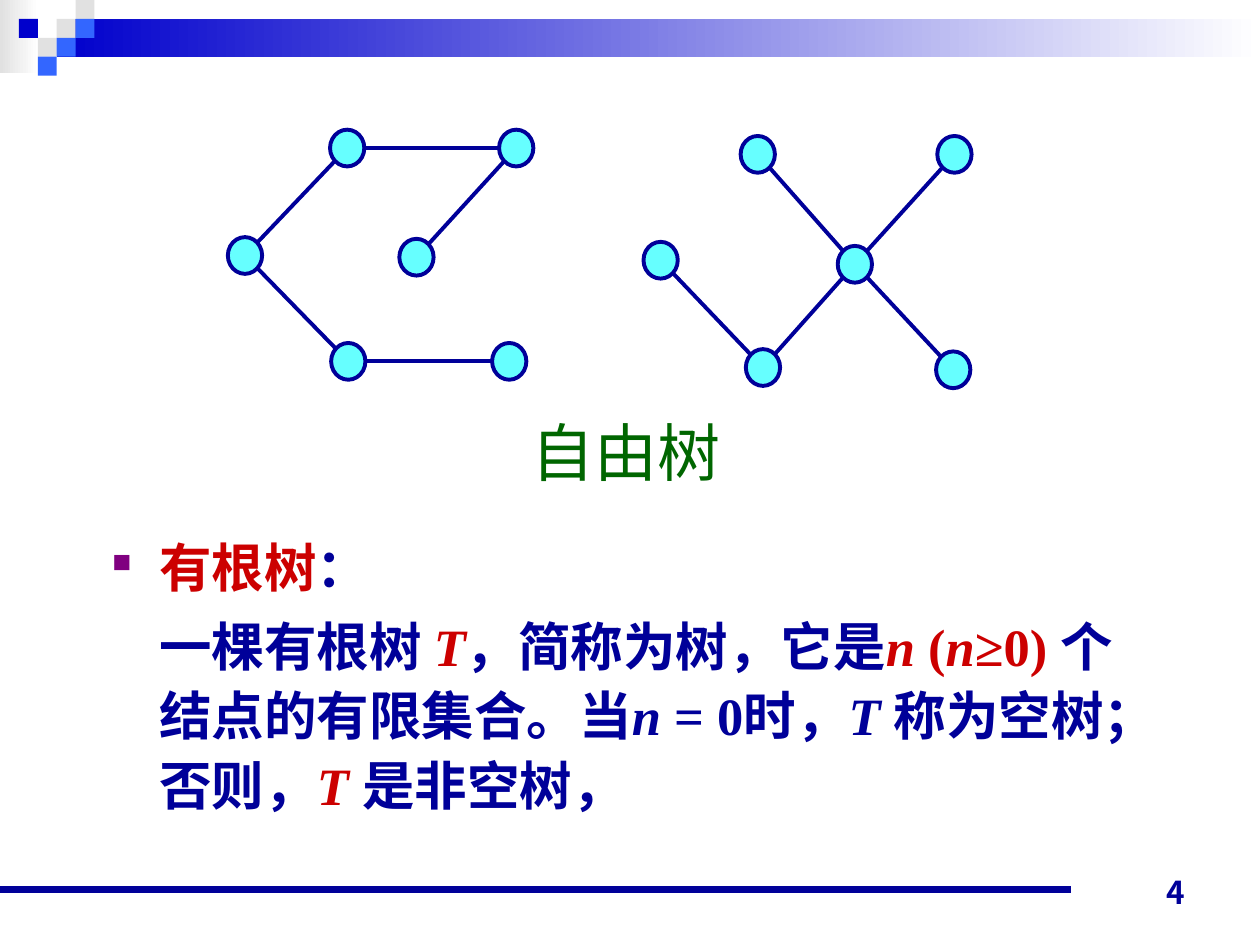
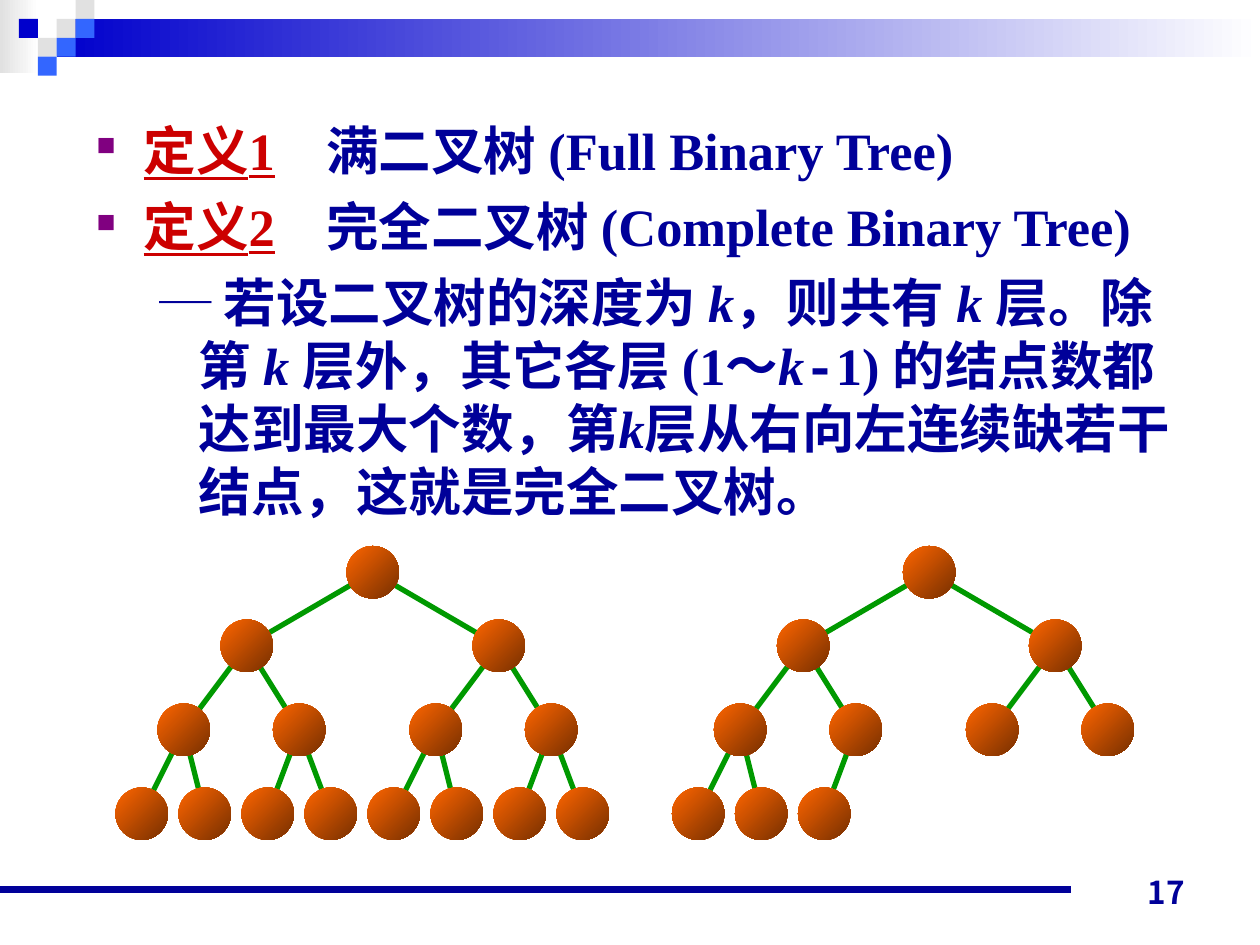
"""Build two lecture slides on free trees, rooted trees and complete binary trees."""
from itertools import pairwise
from math import hypot

from lxml.etree import SubElement
from pptx import Presentation
from pptx.dml.color import RGBColor
from pptx.enum.shapes import MSO_CONNECTOR, MSO_SHAPE
from pptx.enum.text import MSO_ANCHOR, PP_ALIGN
from pptx.oxml.ns import qn
from pptx.util import Pt

NAVY, BLUE, SKY, GREY, WHITE = "000099", "0000CC", "3366FF", "E1E1E1", "FFFFFF"
RED, DARK_GREEN, GREEN, CYAN, PURPLE = "CC0000", "006600", "009900", "66FFFF", "800080"
ORANGE, BROWN = "FF6600", "762F00"
SERIF, CHINESE = "Times New Roman", "Noto Sans CJK SC"

body = {"size": Pt(30), "name": SERIF, "bold": True}
run_styles = {
    "plain": (NAVY, body),
    "variable": (NAVY, body | {"italic": True}),
    "red": (RED, body),
    "red variable": (RED, body | {"italic": True}),
    "term": (RED, body | {"underline": True}),
    "wave": (NAVY, body | {"name": CHINESE}),
    "minus": (NAVY, body | {"name": "Courier New"}),
    "title": (DARK_GREEN, {"size": Pt(36), "name": "Arial"}),
    "number": (NAVY, {"size": Pt(18), "name": "Noto Sans CJK JP", "bold": True}),
}
paragraph_styles = {
    "line": (0, 0, 0, False),
    "bullet": (0, 27, -27, True),
    "continued": (0, 27, 0, False),
    "detail": (1, 58.5, -22.5, False),
}

square = 10.8
header_shapes = [
    (MSO_SHAPE.RECTANGLE, (0, 0, 22, 42), (GREY, WHITE), 0, None),
    (MSO_SHAPE.RECTANGLE, (32.4, square, 687.6, 21.6), (BLUE, WHITE), 0, None),
]
for column, row, colour in [
    (3, 1, GREY), (4, 0, GREY), (4, 1, SKY), (2, 2, GREY),
    (1, 1, BLUE), (3, 2, SKY), (2, 3, SKY),
]:
    box = (column * square, row * square, square, square)
    header_shapes.append((MSO_SHAPE.RECTANGLE, box, (colour,), 0, None))
footer_line = ((0, 508.3), (612, 508.3), NAVY, 4.5)

free_tree_paths = [
    [(238, 147), (295, 84.6), (198.4, 84.6), (140, 146), (199, 206.5), (291, 206.5)],
    [(377.5, 148.7), (436, 210), (488.5, 151), (433, 88.2)],
    [(545.4, 88.2), (488.5, 151), (544.7, 211.3)],
]
free_tree_edges = [edge for points in free_tree_paths for edge in pairwise(points)]
free_tree_nodes = dict.fromkeys(point for points in free_tree_paths for point in points)

tree_levels = [
    (327, [213]),
    (369, [141, 285]),
    (417, [105, 171, 249, 315]),
    (465, [81 + 36 * leaf for leaf in range(8)]),
]
binary_edges, binary_nodes = [], []
for shift, leaf_count in [(0, 8), (318, 3)]:
    levels = [[(x + shift, y) for x in centres] for y, centres in tree_levels]
    levels[-1] = levels[-1][:leaf_count]
    for parents, children in pairwise(levels):
        binary_edges += [(parents[i // 2], child) for i, child in enumerate(children)]
    binary_nodes += [node for level in levels for node in level]

rooted_tree_text = [
    ("bullet", [("有根树", "red"), ("：", "plain")]),
    ("continued", [
        ("一棵有根树 ", "plain"), ("T", "red variable"), ("，简称为树，它是", "plain"),
        ("n", "red variable"), (" (", "red"), ("n", "red variable"), ("≥0) ", "red"),
        ("个结点的有限集合。当", "plain"), ("n", "variable"), (" = 0时，", "plain"),
        ("T ", "variable"), ("称为空树；否则，", "plain"), ("T ", "red variable"),
        ("是非空树，", "plain"),
    ]),
]
binary_tree_text = [
    ("bullet", [("定义1", "term"), ("\t满二叉树 (Full Binary Tree)", "plain")]),
    ("bullet", [("定义2", "term"), ("\t完全二叉树 (Complete Binary Tree)", "plain")]),
    ("detail", [
        ("─ 若设二叉树的深度为 ", "plain"), ("k", "variable"), ("，则共有 ", "plain"),
        ("k ", "variable"), ("层。除第 ", "plain"), ("k ", "variable"),
        ("层外，其它各层 (1", "plain"), ("～", "wave"), ("k", "variable"), ("-", "minus"),
        ("1) 的结点数都达到最大个数，第", "plain"), ("k", "variable"),
        ("层从右向左连续缺若干结点，这就是完全二叉树。", "plain"),
    ]),
]

title_format = {"vertical_anchor": MSO_ANCHOR.MIDDLE}
body_format = {"vertical_anchor": MSO_ANCHOR.TOP, "margin_top": Pt(7)}
number_format = {"vertical_anchor": MSO_ANCHOR.BOTTOM}
slides = [
    {
        "number": "4",
        "edges": free_tree_edges, "trim": 9.5, "edge line": (NAVY, 2.25),
        "nodes": free_tree_nodes, "node size": (19.6, 21),
        "node fill": (CYAN,), "node line": (NAVY, 2.25),
        "texts": [
            ((34, 232.5, 648, 51), title_format, PP_ALIGN.CENTER, 1.0, 0,
             [("line", [("自由树", "title")])]),
            ((57, 295, 614, 184.5), body_format, PP_ALIGN.LEFT, Pt(39.6), 5.6,
             rooted_tree_text),
        ],
    },
    {
        "number": "17",
        "edges": binary_edges, "trim": 6, "edge line": (GREEN, 3),
        "nodes": binary_nodes, "node size": (30, 30),
        "node fill": (ORANGE, BROWN), "node line": None,
        "texts": [
            ((48, 60.5, 648, 306), body_format, PP_ALIGN.LEFT, Pt(36), 7.5,
             binary_tree_text),
        ],
    },
]

presentation = Presentation()
presentation.slide_width, presentation.slide_height = Pt(720), Pt(540)

for content in slides:
    slide = presentation.slides.add_slide(presentation.slide_layouts[6])

    lines = [footer_line]
    for (x1, y1), (x2, y2) in content["edges"]:
        ratio = content["trim"] / hypot(x2 - x1, y2 - y1)
        dx, dy = (x2 - x1) * ratio, (y2 - y1) * ratio
        lines.append(((x1 + dx, y1 + dy), (x2 - dx, y2 - dy), *content["edge line"]))
    for start, end, colour, width in lines:
        connector = slide.shapes.add_connector(
            MSO_CONNECTOR.STRAIGHT, *(Pt(value) for value in start + end))
        connector.line.color.rgb = RGBColor.from_string(colour)
        connector.line.width = Pt(width)
        SubElement(connector._element.spPr, qn("a:effectLst"))

    width, height = content["node size"]
    nodes = [
        (MSO_SHAPE.OVAL, (x - width / 2, y - height / 2, width, height),
         content["node fill"], 315, content["node line"])
        for x, y in content["nodes"]
    ]
    for kind, box, colours, angle, outline in header_shapes + nodes:
        shape = slide.shapes.add_shape(kind, *(Pt(value) for value in box))
        shape.shadow.inherit = False
        if len(colours) == 2:
            shape.fill.gradient()
            shape.fill.gradient_angle = angle
            for stop, colour in zip(shape.fill.gradient_stops, colours):
                stop.color.rgb = RGBColor.from_string(colour)
        else:
            shape.fill.solid()
            shape.fill.fore_color.rgb = RGBColor.from_string(colours[0])
        if outline:
            shape.line.color.rgb = RGBColor.from_string(outline[0])
            shape.line.width = Pt(outline[1])
        else:
            shape.line.fill.background()

    page_number = ((516, 488, 168, 36), number_format, PP_ALIGN.RIGHT, 1.0, 0,
                   [("line", [(content["number"], "number")])])
    for box, frame_format, alignment, spacing, gap, paragraphs in content["texts"] + [page_number]:
        frame = slide.shapes.add_textbox(*(Pt(value) for value in box)).text_frame
        frame.word_wrap = True
        for name, value in frame_format.items():
            setattr(frame, name, value)
        for index, (paragraph_style, runs) in enumerate(paragraphs):
            paragraph = frame.add_paragraph() if index else frame.paragraphs[0]
            level, margin, indent, bulleted = paragraph_styles[paragraph_style]
            paragraph_format = {
                "level": level, "alignment": alignment, "line_spacing": spacing,
                "space_before": Pt(gap if index else 0),
            }
            for name, value in paragraph_format.items():
                setattr(paragraph, name, value)
            properties = paragraph._p.get_or_add_pPr()
            properties.set("marL", str(Pt(margin)))
            properties.set("indent", str(Pt(indent)))
            if bulleted:
                bullet_colour = SubElement(properties, qn("a:buClr"))
                SubElement(bullet_colour, qn("a:srgbClr"), val=PURPLE)
                SubElement(properties, qn("a:buSzPct"), val="50000")
                SubElement(properties, qn("a:buChar"), char="■")
                tabs = SubElement(properties, qn("a:tabLst"))
                SubElement(tabs, qn("a:tab"), pos=str(Pt(131.5)), algn="l")
            for text, run_style in runs:
                run = paragraph.add_run()
                run.text = text
                colour, font_format = run_styles[run_style]
                for name, value in font_format.items():
                    setattr(run.font, name, value)
                run.font.color.rgb = RGBColor.from_string(colour)
                SubElement(run._r.get_or_add_rPr(), qn("a:ea"), typeface=CHINESE)

presentation.save("out.pptx")
